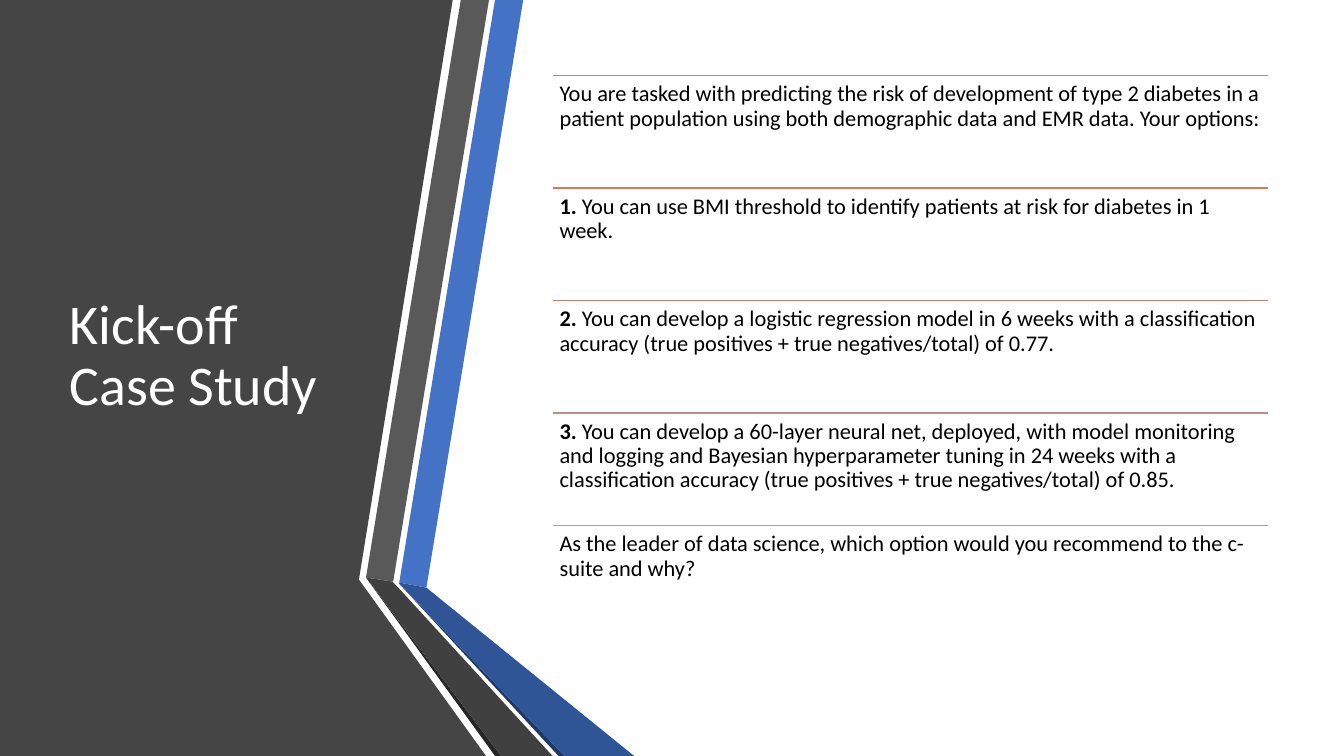
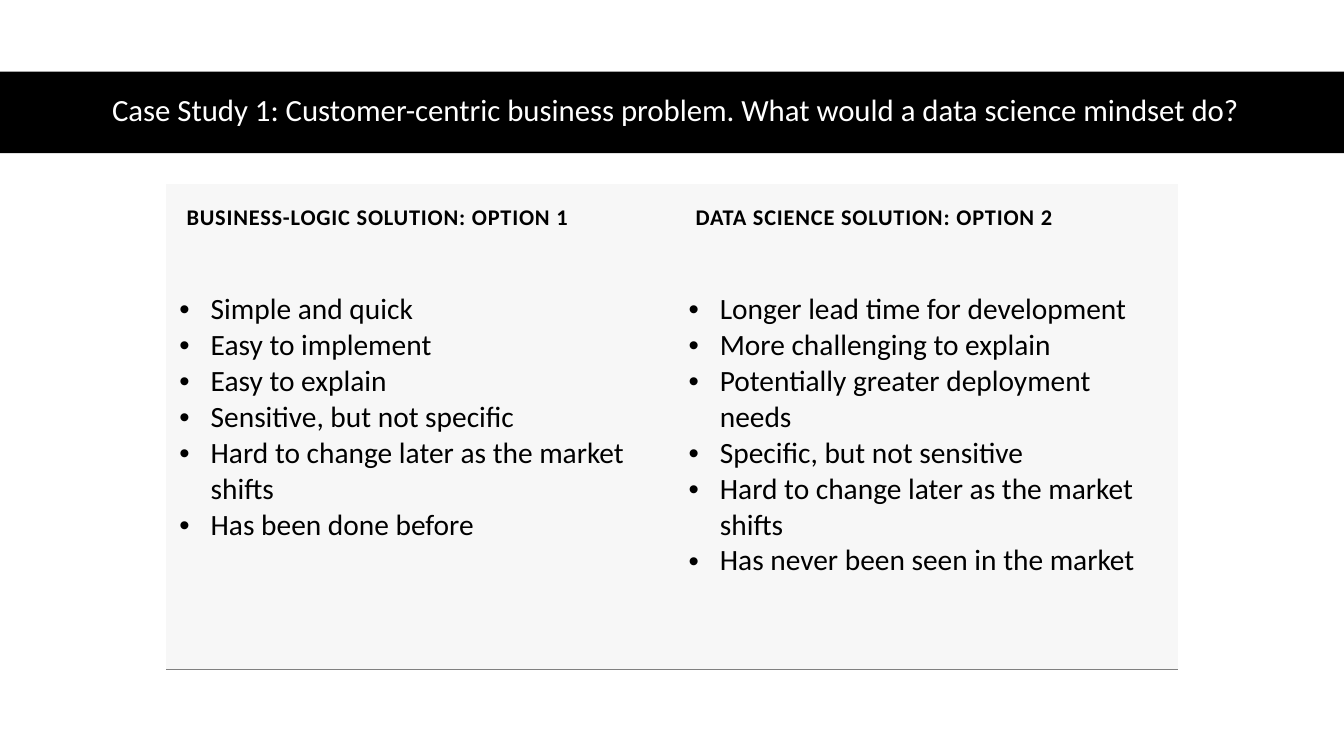
from dataclasses import dataclass

from lxml.etree import SubElement
from pptx import Presentation
from pptx.dml.color import RGBColor
from pptx.enum.shapes import MSO_CONNECTOR, MSO_SHAPE
from pptx.enum.text import MSO_ANCHOR, MSO_AUTO_SIZE, PP_ALIGN
from pptx.oxml.ns import qn
from pptx.util import Inches, Pt


@dataclass(frozen=True)
class Theme:
    font: str = "Calibri"
    text: str = "000000"
    title: str = "FFFFFF"
    band: str = "000000"
    panel: str = "454545"
    cell: str = "F7F7F7"
    cell_rule: str = "808080"
    side_title_size: int = 40
    band_title_size: int = 22
    body_size: int = 16
    bullet_size: int = 21


THEME = Theme()
TITLE_ONLY = 5
NO_STYLE_TABLE = "{2D5ABB26-0587-4C30-8999-92F81FD0307C}"

CASE_TITLE = "Kick-off Case Study"
CASE_ROWS = [
    ("ED7D31", "", "You are tasked with predicting the risk of development of type 2 diabetes "
     "in a patient population using both demographic data and EMR data. Your options:"),
    ("D87A51", "1.", " You can use BMI threshold to identify patients at risk for diabetes in 1 week."),
    ("C48170", "2.", " You can develop a logistic regression model in 6 weeks with a classification "
     "accuracy (true positives + true negatives/total) of 0.77."),
    ("B4908B", "3.", " You can develop a 60-layer neural net, deployed, with model monitoring and "
     "logging and Bayesian hyperparameter tuning in 24 weeks with a classification accuracy "
     "(true positives + true negatives/total) of 0.85."),
    ("A5A5A5", "", "As the leader of data science, which option would you recommend to the "
     "c-suite and why?"),
]
SIDE_PANELS = [
    (THEME.panel, [(0, 0), (4.49, 0), (3.56, 5.75), (4.82, 7.5), (0, 7.5)]),
    ("4472C4", [(3.96, 5.78), (4.23, 5.83), (5.19, 0), (4.91, 0)]),
    ("595959", [(4.85, 0), (4.57, 0), (3.63, 5.73), (3.9, 5.77)]),
    ("262626", [(3.63, 5.73), (4.91, 7.5), (4.97, 7.5)]),
    ("203864", [(3.96, 5.79), (5.54, 7.5), (5.6, 7.5)]),
    ("2F5597", [(3.96, 5.79), (5.6, 7.5), (6.29, 7.5), (4.23, 5.83), (3.96, 5.78)]),
    ("404040", [(5.48, 7.5), (3.95, 5.83), (3.89, 5.77), (3.63, 5.73), (4.97, 7.5)]),
]

OPTIONS_TITLE = ("Case Study 1: Customer-centric business problem. "
                 "What would a data science mindset do?")
OPTIONS = [
    ("BUSINESS-LOGIC SOLUTION: OPTION 1", 5.05, [
        "Simple and quick",
        "Easy to implement",
        "Easy to explain",
        "Sensitive, but not specific",
        "Hard to change later as the market shifts",
        "Has been done before",
    ]),
    ("DATA SCIENCE SOLUTION: OPTION 2", 4.98, [
        "Longer lead time for development",
        "More challenging to explain",
        "Potentially greater deployment needs",
        "Specific, but not sensitive",
        "Hard to change later as the market shifts",
        "Has never been seen in the market",
    ]),
]
OPTION_ROW_HEIGHTS = (0.99, 3.82)


def style_font(font, size, color=THEME.text, bold=False):
    font.name = THEME.font
    font.size = Pt(size)
    font.bold = bold
    font.color.rgb = RGBColor.from_string(color)


def paint(shape, color):
    shape.shadow.inherit = False
    shape.fill.solid()
    shape.fill.fore_color.rgb = RGBColor.from_string(color)
    shape.line.fill.background()


def set_margins(target, left, top, right, bottom):
    target.margin_left, target.margin_top = Inches(left), Inches(top)
    target.margin_right, target.margin_bottom = Inches(right), Inches(bottom)


def place_title(slide, text, place, size, align):
    title = slide.shapes.title
    title.left, title.top, title.width, title.height = map(Inches, place)
    frame = title.text_frame
    frame.text = text
    frame.auto_size = MSO_AUTO_SIZE.NONE
    frame.vertical_anchor = MSO_ANCHOR.MIDDLE
    para = frame.paragraphs[0]
    para.alignment = align
    para.line_spacing = 0.9
    style_font(para.runs[0].font, size, THEME.title)
    slide.shapes.element.append(title.element)


def add_polygon(slide, color, points):
    corners = [(Inches(x), Inches(y)) for x, y in points]
    builder = slide.shapes.build_freeform(*corners[0])
    builder.add_line_segments(corners[1:], close=True)
    paint(builder.convert_to_shape(), color)


def add_rule(slide, left, top, width, color):
    rule = slide.shapes.add_connector(
        MSO_CONNECTOR.STRAIGHT, Inches(left), Inches(top), Inches(left + width), Inches(top))
    rule.line.color.rgb = RGBColor.from_string(color)
    rule.line.width = Pt(1)
    SubElement(rule.element.spPr, qn("a:effectLst"))


def add_case_row(slide, top, height, color, label, text):
    left, width = 5.48, 7.1
    add_rule(slide, left, top, width, color)
    box = slide.shapes.add_textbox(Inches(left), Inches(top), Inches(width), Inches(height))
    frame = box.text_frame
    frame.word_wrap = True
    set_margins(frame, 0.07, 0.07, 0.07, 0.07)
    para = frame.paragraphs[0]
    para.line_spacing = 0.9
    for words, bold in ((label, True), (text, False)):
        if words:
            span = para.add_run()
            span.text = words
            style_font(span.font, THEME.body_size, bold=bold)


def build_case_slide(deck):
    slide = deck.slides.add_slide(deck.slide_layouts[TITLE_ONLY])
    for color, points in SIDE_PANELS:
        add_polygon(slide, color, points)
    place_title(slide, CASE_TITLE, (0.59, 0.75, 3.04, 5.58), THEME.side_title_size, PP_ALIGN.LEFT)
    top, row_height = 0.75, 5.58 / len(CASE_ROWS)
    for index, row in enumerate(CASE_ROWS):
        add_case_row(slide, top + index * row_height, row_height, *row)


def add_bottom_border(cell, color):
    properties = cell._tc.get_or_add_tcPr()
    border = SubElement(properties, qn("a:lnB"), w=str(Pt(1)))
    fill = SubElement(border, qn("a:solidFill"))
    SubElement(fill, qn("a:srgbClr"), val=color)
    properties.insert(0, border)


def fill_cell(cell):
    cell.fill.solid()
    cell.fill.fore_color.rgb = RGBColor.from_string(THEME.cell)


def write_heading(cell, heading):
    fill_cell(cell)
    set_margins(cell, 0.2, 0.2, 0.2, 0.2)
    cell.text_frame.text = heading
    span = cell.text_frame.paragraphs[0].runs[0]
    style_font(span.font, THEME.body_size, bold=True)
    span.font._element.set("spc", "60")


def write_bullets(cell, points):
    fill_cell(cell)
    add_bottom_border(cell, THEME.cell_rule)
    set_margins(cell, 0.13, 0.07, 0.13, 0.13)
    cell.text_frame.text = "\n".join(points)
    for para in cell.text_frame.paragraphs:
        properties = para._p.get_or_add_pPr()
        properties.set("marL", str(Inches(0.31)))
        properties.set("indent", str(-Inches(0.31)))
        SubElement(properties, qn("a:buFont"), typeface="Arial")
        SubElement(properties, qn("a:buChar"), char="•")
        style_font(para.runs[0].font, THEME.bullet_size)


def add_options_table(slide):
    width = sum(column_width for _, column_width, _ in OPTIONS)
    holder = slide.shapes.add_table(
        len(OPTION_ROW_HEIGHTS), len(OPTIONS), Inches(1.65), Inches(1.83),
        Inches(width), Inches(sum(OPTION_ROW_HEIGHTS)))
    for style in holder.element.iter(qn("a:tableStyleId")):
        style.text = NO_STYLE_TABLE
    table = holder.table
    table.horz_banding = False
    for row, height in zip(table.rows, OPTION_ROW_HEIGHTS):
        row.height = Inches(height)
    for index, (heading, column_width, points) in enumerate(OPTIONS):
        table.columns[index].width = Inches(column_width)
        write_heading(table.cell(0, index), heading)
        write_bullets(table.cell(1, index), points)


def build_options_slide(deck):
    slide = deck.slides.add_slide(deck.slide_layouts[TITLE_ONLY])
    band = slide.shapes.add_shape(
        MSO_SHAPE.RECTANGLE, 0, Inches(0.71), deck.slide_width, Inches(0.81))
    paint(band, THEME.band)
    place_title(slide, OPTIONS_TITLE, (0.57, 0.7, 12.26, 0.81),
                THEME.band_title_size, PP_ALIGN.CENTER)
    add_options_table(slide)


def main():
    deck = Presentation()
    deck.slide_width, deck.slide_height = Inches(13.33), Inches(7.5)
    build_case_slide(deck)
    build_options_slide(deck)
    deck.save("out.pptx")


if __name__ == "__main__":
    main()
